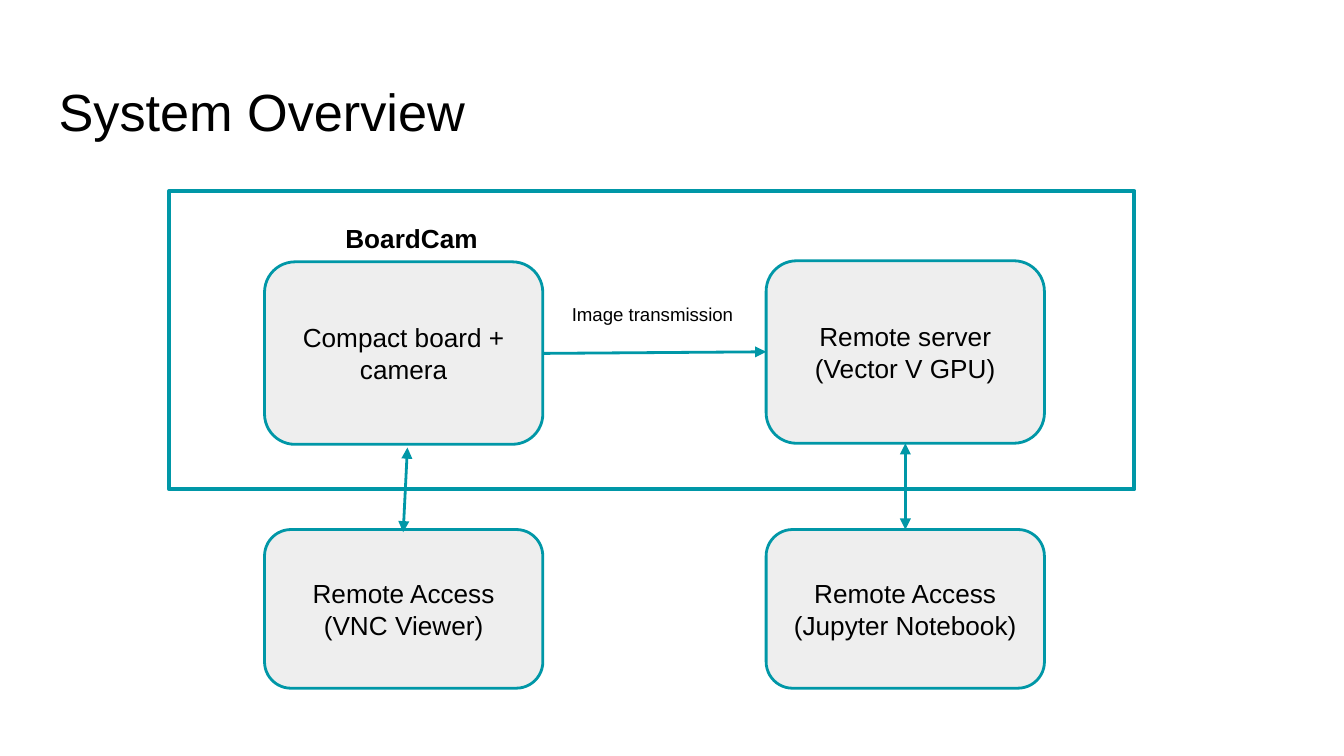
from lxml import etree
from pptx import Presentation
from pptx.dml.color import RGBColor
from pptx.enum.shapes import MSO_CONNECTOR, MSO_SHAPE
from pptx.enum.text import MSO_ANCHOR, PP_ALIGN
from pptx.oxml.ns import qn
from pptx.util import Cm, Pt

RECT = MSO_SHAPE.RECTANGLE
ROUND = MSO_SHAPE.ROUNDED_RECTANGLE
STRAIGHT = MSO_CONNECTOR.STRAIGHT
TOP, MIDDLE = MSO_ANCHOR.TOP, MSO_ANCHOR.MIDDLE
LEFT, CENTER = PP_ALIGN.LEFT, PP_ALIGN.CENTER

FONT = "Arial"
COLORS = {"teal": "0097A7", "gray": "EEEEEE", "black": "000000"}
LEFT_X, RIGHT_X = 5, 14.48
WIDTH = 5.26


def color(name):
    return RGBColor.from_string(COLORS[name])


def write(frame, lines, size, align=CENTER, anchor=TOP, bold=False):
    frame.word_wrap = True
    frame.vertical_anchor = anchor
    frame.margin_left = frame.margin_right = Cm(0.25)
    frame.margin_top = frame.margin_bottom = Cm(0.25)
    for i, line in enumerate(lines):
        para = frame.add_paragraph() if i else frame.paragraphs[0]
        para.alignment = align
        run = para.add_run()
        run.text = line
        run.font.name = FONT
        run.font.size = Pt(size)
        run.font.bold = bold
        run.font.color.rgb = color("black")


def add_title(slide, text):
    title = slide.shapes.title
    title.left, title.top = Cm(0.86), Cm(1.24)
    title.width, title.height = Cm(23.67), Cm(1.6)
    write(title.text_frame, [text], 28, align=LEFT)


def add_frame(slide, x, y, w, h):
    frame = slide.shapes.add_shape(RECT, Cm(x), Cm(y), Cm(w), Cm(h))
    frame.shadow.inherit = False
    frame.fill.background()
    frame.line.color.rgb = color("teal")
    frame.line.width = Pt(2.25)


def add_node(slide, x, y, h, lines):
    node = slide.shapes.add_shape(ROUND, Cm(x), Cm(y), Cm(WIDTH), Cm(h))
    node.shadow.inherit = False
    node.fill.solid()
    node.fill.fore_color.rgb = color("gray")
    node.line.color.rgb = color("teal")
    node.line.width = Pt(1.5)
    write(node.text_frame, lines, 14, anchor=MIDDLE)


def add_label(slide, x, y, text, size, bold=False):
    box = slide.shapes.add_textbox(Cm(x), Cm(y), Cm(3.78), Cm(0.89))
    write(box.text_frame, [text], size, bold=bold)


def add_arrow(slide, start, end, both=False):
    ends = [Cm(v) for v in (*start, *end)]
    arrow = slide.shapes.add_connector(STRAIGHT, *ends)
    arrow.line.color.rgb = color("teal")
    arrow.line.width = Pt(1.5)
    line = arrow.line._get_or_add_ln()
    for tag in ("a:headEnd", "a:tailEnd") if both else ("a:tailEnd",):
        etree.SubElement(line, qn(tag), type="triangle")
    etree.SubElement(arrow._element.spPr, qn("a:effectLst"))


def main():
    deck = Presentation()
    deck.slide_width, deck.slide_height = Cm(25.4), Cm(14.29)
    slide = deck.slides.add_slide(deck.slide_layouts[5])

    add_title(slide, "System Overview")
    add_frame(slide, 3.2, 3.61, 18.24, 5.64)

    for x, y, h, lines in (
        (LEFT_X, 4.95, 3.45, ["Compact board + camera"]),
        (RIGHT_X, 4.93, 3.45, ["Remote server (Vector V GPU)"]),
        (LEFT_X, 10.01, 3, ["Remote Access", "(VNC Viewer)"]),
        (RIGHT_X, 10.01, 3, ["Remote Access", "(Jupyter Notebook)"]),
    ):
        add_node(slide, x, y, h, lines)

    add_arrow(slide, (LEFT_X + WIDTH, 6.68), (RIGHT_X, 6.65))
    add_arrow(slide, (7.7, 8.46), (7.62, 10.06), both=True)
    add_arrow(slide, (17.11, 8.38), (17.11, 10.01), both=True)

    add_label(slide, 10.44, 5.51, "Image transmission", 10)
    add_label(slide, 5.89, 3.96, "BoardCam", 14, bold=True)
    deck.save("out.pptx")


if __name__ == "__main__":
    main()
